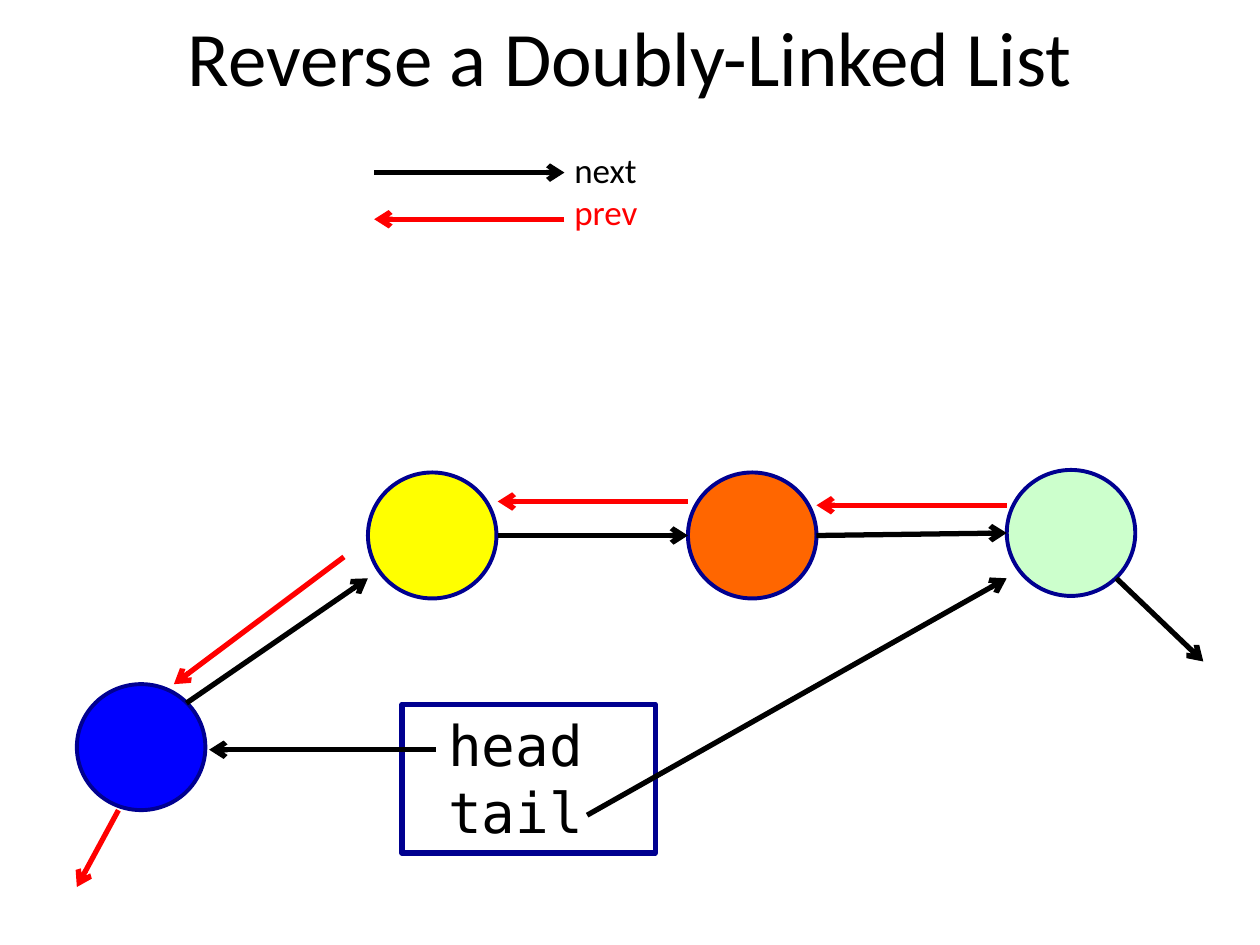
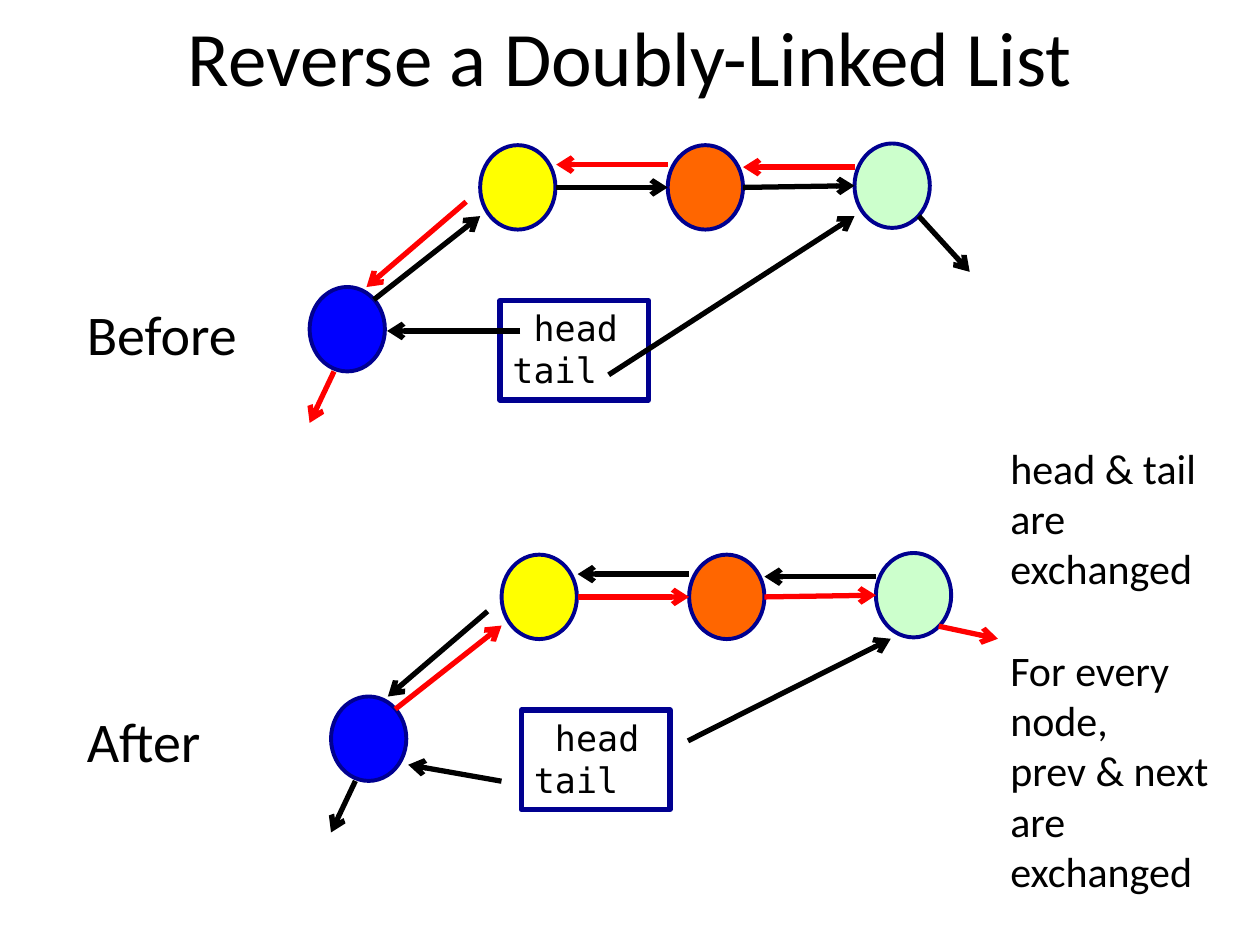
import pptx
import pptx.util
import pptx.dml.color
import pptx.enum.shapes
import pptx.enum.text
import pptx.oxml.ns
from lxml import etree

Inches, Pt = pptx.util.Inches, pptx.util.Pt
SHAPE = pptx.enum.shapes.MSO_SHAPE
ALIGN = pptx.enum.text.PP_ALIGN

COLORS = {"black": "000000", "red": "FF0000", "navy": "000090", "yellow": "FFFF00",
          "orange": "FF6600", "green": "CCFFCC", "blue": "0000FF"}
SANS, MONO = "Calibri", "DejaVu Sans Mono"
TITLE = "Reverse a Doubly-Linked List"

# The list diagram at full size: nodes (left, top), arrows (x1, y1, x2, y2)
NODE_SIZE = (1.02, 1)
NODES = [("yellow", 2.92, 3.75), ("orange", 5.46, 3.75),
         ("green", 7.99, 3.73), ("blue", 0.61, 5.43)]
BOX = (3.19, 5.59, 2.01, 1.18)
NEXT = [(3.95, 4.25, 5.46, 4.25), (6.48, 4.25, 7.99, 4.23), (1.48, 5.58, 2.92, 4.59)]
PREV = [(0.94, 6.43, 0.61, 7.04), (2.73, 4.42, 1.38, 5.43),
        (5.46, 3.98, 3.95, 3.98), (7.99, 4.01, 6.48, 4.01)]
LAST_NEXT = (8.86, 4.59, 9.55, 5.25)
HEAD, TAIL = (3.46, 5.95, 1.66, 5.95), (4.66, 6.47, 7.99, 4.59)

# Arrows that differ once the list is reversed, in slide inches
REVERSED = [("red", (7.45, 4.97, 7.92, 5.07)), ("black", (3.98, 6.2, 3.24, 6.07)),
            ("black", (5.46, 5.88, 7.07, 5.07))]

# Placements: x scale, y scale, x offset, y offset
FULL = (1, 1, 0, 0)
BEFORE = (0.586, 0.67, 2.1, -1.36)
AFTER = (0.586, 0.67, 2.27, 1.89)

# Slide texts: (text, colour, space before in points)
LEGEND = [("next", "black", 0), ("prev", "red", 0)]
STAGES = [("Before", "black", 0), ("After", "black", 194)]
NOTES = [("head & tail", "black", 0), ("are exchanged", "black", 0),
         ("For every node,", "black", 29), ("prev & next", "black", 0),
         ("are exchanged", "black", 0)]


def rgb(name):
    return pptx.dml.color.RGBColor.from_string(COLORS[name])


def write(tf, lines, size, font):
    for i, (text, color, gap) in enumerate(lines):
        p = tf.paragraphs[0] if i == 0 else tf.add_paragraph()
        p.text = text
        p.alignment = ALIGN.LEFT
        p.space_before = Pt(gap)
        p.font.size, p.font.name = Pt(size), font
        p.font.color.rgb = rgb(color)


def add_text(slide, at, lines, size, wrap):
    tf = slide.shapes.add_textbox(*map(Inches, at)).text_frame
    tf.word_wrap = wrap
    write(tf, lines, size, SANS)


def add_outline(slide, kind, at, width, fill=None):
    sp = slide.shapes.add_shape(kind, *map(Inches, at))
    sp.shadow.inherit = False
    if fill:
        sp.fill.solid()
        sp.fill.fore_color.rgb = rgb(fill)
    else:
        sp.fill.background()
    sp.line.color.rgb = rgb("navy")
    sp.line.width = Pt(width)
    return sp


def add_arrow(slide, ends, color):
    line = slide.shapes.add_connector(
        pptx.enum.shapes.MSO_CONNECTOR.STRAIGHT, *map(Inches, ends))
    line.line.color.rgb = rgb(color)
    line.line.width = Pt(3)
    qn = pptx.oxml.ns.qn
    etree.SubElement(line.line._get_or_add_ln(), qn("a:tailEnd"), type="arrow")
    etree.SubElement(line._element.spPr, qn("a:effectLst"))


def add_list(slide, place, labels, size, is_reversed=False):
    sx, sy, ox, oy = place

    def rect(x, y, w, h):
        return ox + sx * x, oy + sy * y, sx * w, sy * h

    def ends(x1, y1, x2, y2):
        return ox + sx * x1, oy + sy * y1, ox + sx * x2, oy + sy * y2

    # Nodes and the head/tail box
    for fill, x, y in NODES:
        add_outline(slide, SHAPE.OVAL, rect(x, y, *NODE_SIZE), 2.25, fill)
    tf = add_outline(slide, SHAPE.RECTANGLE, rect(*BOX), 3).text_frame
    tf.word_wrap = True
    tf.vertical_anchor = pptx.enum.text.MSO_ANCHOR.TOP
    write(tf, [(text, "black", 0) for text in labels], size, MONO)

    # Links swap colours when the list is reversed
    forward, back = ("red", "black") if is_reversed else ("black", "red")
    arrows = [(forward, ends(*a)) for a in NEXT] + [(back, ends(*a)) for a in PREV]
    if is_reversed:
        arrows += REVERSED
    else:
        arrows += [("black", ends(*a)) for a in (LAST_NEXT, HEAD, TAIL)]
    for color, at in arrows:
        add_arrow(slide, at, color)


def add_slide(prs):
    slide = prs.slides.add_slide(prs.slide_layouts[5])
    sp = slide.shapes.title
    sp.left, sp.top, sp.width, sp.height = map(Inches, (0.5, -0.18, 9, 1.25))
    write(sp.text_frame, [(TITLE, "black", 0)], 44, SANS)
    sp.text_frame.paragraphs[0].alignment = ALIGN.CENTER
    return slide


prs = pptx.Presentation()
prs.slide_width, prs.slide_height = Inches(10), Inches(7.5)

# Slide 1: the list with its legend
slide = add_slide(prs)
add_list(slide, FULL, [" head", " tail"], 32)
add_arrow(slide, (2.97, 1.37, 4.48, 1.37), "black")
add_arrow(slide, (4.48, 1.74, 2.97, 1.74), "red")
add_text(slide, (4.46, 1.13, 0.74, 0.77), LEGEND, 20, False)

# Slide 2: before and after reversing
slide = add_slide(prs)
add_list(slide, BEFORE, [" head", "tail"], 20)
add_list(slide, AFTER, [" head", "tail"], 20, is_reversed=True)
add_text(slide, (7.92, 3.46, 1.94, 3.74), NOTES, 24, True)
add_text(slide, (0.59, 2.33, 1.42, 3.87), STAGES, 32, False)

prs.save("out.pptx")
